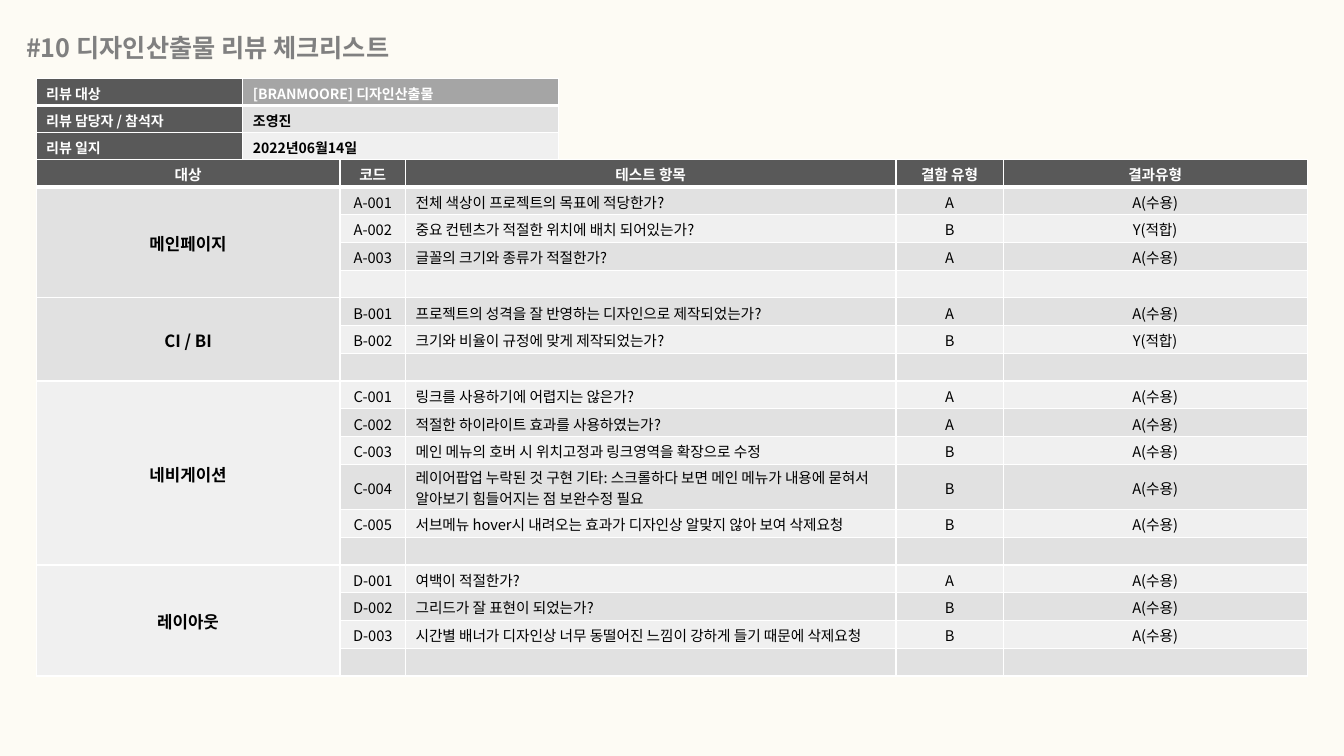
from dataclasses import dataclass

from lxml.etree import SubElement
from pptx import Presentation
from pptx.dml.color import RGBColor
from pptx.enum.text import MSO_ANCHOR, MSO_AUTO_SIZE, PP_ALIGN
from pptx.oxml.ns import qn
from pptx.util import Cm, Pt


@dataclass(frozen=True)
class Theme:
    font: str = "Noto Sans CJK KR"
    background: str = "FDFBF4"
    title: str = "808080"
    header: str = "595959"
    subject: str = "A5A5A5"
    bands: tuple = ("F0F0F0", "E1E1E1")
    white: str = "FFFFFF"
    black: str = "000000"
    title_size: float = 18
    group_size: float = 12
    body_size: float = 10.5
    info_size: float = 10


class ReviewPage:
    def __init__(self, deck, theme):
        self.theme = theme
        self.page = deck.slides.add_slide(deck.slide_layouts[6])
        background = self.page.background.fill
        background.solid()
        background.fore_color.rgb = RGBColor.from_string(theme.background)

    def set_text(self, frame, text, size, color, bold=False, align=PP_ALIGN.LEFT):
        para = frame.paragraphs[0]
        if text:
            para.add_run().text = text
        para.alignment = align
        font = para.font
        font.size, font.bold, font.name = Pt(size), bold, self.theme.font
        font.color.rgb = RGBColor.from_string(color)
        SubElement(font._rPr, qn("a:ea"), typeface=self.theme.font)

    def add_title(self, text, left, top, width, height):
        box = self.page.shapes.add_textbox(Cm(left), Cm(top), Cm(width), Cm(height))
        frame = box.text_frame
        frame.word_wrap = False
        frame.auto_size = MSO_AUTO_SIZE.SHAPE_TO_FIT_TEXT
        self.set_text(frame, text, self.theme.title_size, self.theme.title, True)

    def add_grid(self, left, top, widths, heights):
        frame = self.page.shapes.add_table(
            len(heights), len(widths), Cm(left), Cm(top),
            Cm(sum(widths)), Cm(sum(heights)))
        table = frame.table
        table.first_row = table.horz_banding = False
        for column, width in zip(table.columns, widths):
            column.width = Cm(width)
        for row, height in zip(table.rows, heights):
            row.height = Cm(height)
        for row_number, row in enumerate(table.rows):
            for cell in row.cells:
                self.add_borders(cell, 3 if row_number == 0 else 1)
        return table

    def add_borders(self, cell, bottom_width):
        properties = cell._tc.get_or_add_tcPr()
        for side, width in (("L", 1), ("R", 1), ("T", 1), ("B", bottom_width)):
            line = SubElement(properties, qn(f"a:ln{side}"), w=str(Pt(width)))
            fill = SubElement(line, qn("a:solidFill"))
            SubElement(fill, qn("a:srgbClr"), val=self.theme.white)

    def fill_cell(self, cell, text, fill, size, color, bold=False, align=PP_ALIGN.LEFT):
        cell.fill.solid()
        cell.fill.fore_color.rgb = RGBColor.from_string(fill)
        cell.vertical_anchor = MSO_ANCHOR.MIDDLE
        cell.margin_top, cell.margin_bottom = Cm(0.05), Cm(0)
        self.set_text(cell.text_frame, text, size, color, bold, align)

    def add_info_table(self, entries, left, top, widths, row_height):
        theme = self.theme
        table = self.add_grid(left, top, widths, [row_height] * len(entries))
        for row, (label, value) in enumerate(entries):
            fill = theme.bands[row % 2] if row else theme.subject
            color = theme.black if row else theme.white
            self.fill_cell(table.cell(row, 0), label, theme.header,
                           theme.info_size, theme.white, True)
            self.fill_cell(table.cell(row, 1), value, fill,
                           theme.info_size, color, True)

    def add_checklist(self, headings, groups, left, top, widths, row_height, tall_rows):
        theme = self.theme
        # Each group closes with one empty row
        row_total = 1 + sum(len(checks) + 1 for _, checks in groups)
        heights = [tall_rows.get(row, row_height) for row in range(row_total)]
        table = self.add_grid(left, top, widths, heights)
        for column, heading in enumerate(headings):
            self.fill_cell(table.cell(0, column), heading, theme.header,
                           theme.body_size, theme.white, True, PP_ALIGN.CENTER)
        start = 1
        for group, checks in groups:
            end = start + len(checks)
            table.cell(start, 0).merge(table.cell(end, 0))
            self.fill_cell(table.cell(start, 0), group, theme.bands[start % 2],
                           theme.group_size, theme.black, True, PP_ALIGN.CENTER)
            for row, check in enumerate(checks + [("",) * 4], start):
                for column, text in enumerate(check, 1):
                    align = PP_ALIGN.LEFT if column == 2 else PP_ALIGN.CENTER
                    self.fill_cell(table.cell(row, column), text, theme.bands[row % 2],
                                   theme.body_size, theme.black, align=align)
            start = end + 1


ACCEPTED, SUITABLE = "A(수용)", "Y(적합)"

REVIEW_INFO = [
    ("리뷰 대상", "[BRANMOORE] 디자인산출물"),
    ("리뷰 담당자 / 참석자", "조영진"),
    ("리뷰 일지", "2022년06월14일"),
]

HEADINGS = ["대상", "코드", "테스트 항목", "결함 유형", "결과유형"]

CHECK_GROUPS = [
    ("메인페이지", [
        ("A-001", "전체 색상이 프로젝트의 목표에 적당한가?", "A", ACCEPTED),
        ("A-002", "중요 컨텐츠가 적절한 위치에 배치 되어있는가?", "B", SUITABLE),
        ("A-003", "글꼴의 크기와 종류가 적절한가?", "A", ACCEPTED),
    ]),
    ("CI / BI", [
        ("B-001", "프로젝트의 성격을 잘 반영하는 디자인으로 제작되었는가?", "A", ACCEPTED),
        ("B-002", "크기와 비율이 규정에 맞게 제작되었는가?", "B", SUITABLE),
    ]),
    ("네비게이션", [
        ("C-001", "링크를 사용하기에 어렵지는 않은가?", "A", ACCEPTED),
        ("C-002", "적절한 하이라이트 효과를 사용하였는가?", "A", ACCEPTED),
        ("C-003", "메인 메뉴의 호버 시 위치고정과 링크영역을 확장으로 수정", "B", ACCEPTED),
        ("C-004", "레이어팝업 누락된 것 구현 기타: 스크롤하다 보면 메인 메뉴가 내용에 "
                  "묻혀서 알아보기 힘들어지는 점 보완수정 필요", "B", ACCEPTED),
        ("C-005", "서브메뉴 hover시 내려오는 효과가 디자인상 알맞지 않아 보여 삭제요청",
         "B", ACCEPTED),
    ]),
    ("레이아웃", [
        ("D-001", "여백이 적절한가?", "A", ACCEPTED),
        ("D-002", "그리드가 잘 표현이 되었는가?", "B", ACCEPTED),
        ("D-003", "시간별 배너가 디자인상 너무 동떨어진 느낌이 강하게 들기 때문에 삭제요청",
         "B", ACCEPTED),
    ]),
]


def main():
    deck = Presentation()
    deck.slide_width, deck.slide_height = Cm(33.87), Cm(19.05)
    review = ReviewPage(deck, Theme())

    # Title
    review.add_title("#10 디자인산출물 리뷰 체크리스트", 0.41, 0.69, 10.67, 1.02)

    # Review details
    review.add_info_table(REVIEW_INFO, 0.91, 1.98, [5.21, 7.95], 0.68)

    # Checklist, with a taller row for the two-line item C-004
    review.add_checklist(HEADINGS, CHECK_GROUPS, 0.91, 4.01,
                         [7.66, 1.65, 12.36, 2.7, 7.66], 0.7, {11: 1.14})

    deck.save("out.pptx")


if __name__ == "__main__":
    main()
